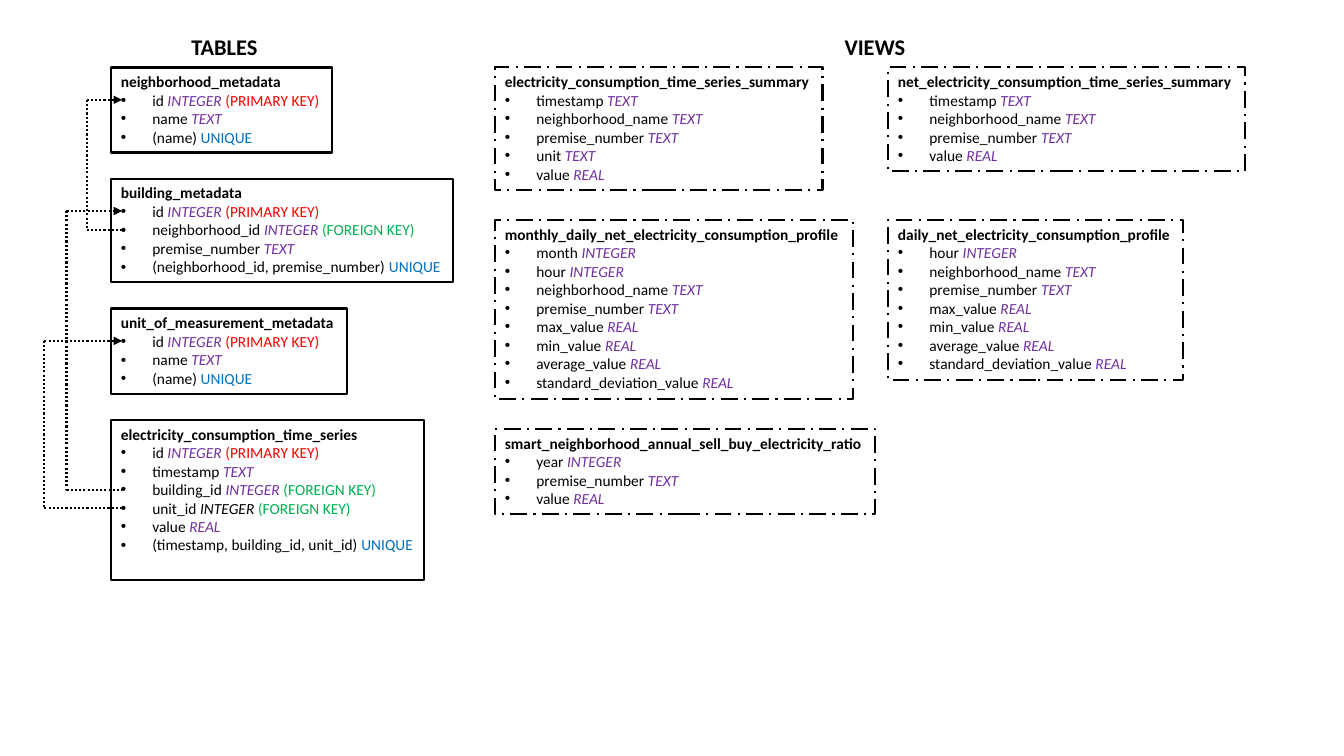
from collections import namedtuple

from lxml.etree import SubElement
from pptx import Presentation
from pptx.dml.color import RGBColor
from pptx.enum.dml import MSO_LINE
from pptx.enum.shapes import MSO_CONNECTOR, MSO_SHAPE
from pptx.enum.text import MSO_ANCHOR, MSO_AUTO_SIZE, PP_ALIGN
from pptx.oxml.ns import qn
from pptx.util import Pt

BLACK, PURPLE = "000000", "7030A0"
KEY_COLORS = {"(PRIMARY KEY)": "FF0000", "(FOREIGN KEY)": "00B050", "UNIQUE": "0070C0"}
PRIMARY, FOREIGN, UNIQUE = KEY_COLORS
LINE_HEIGHT, INSET, INDENT = 13.4, 3.6, 22.5
TOP = 48.2

Column = namedtuple("Column", "name type key type_color", defaults=("", "", PURPLE))
Entity = namedtuple("Entity", "name width columns spare_lines", defaults=(0,))


def typed(type_name, *names):
    return [Column(name, type_name) for name in names]


ID = Column("id", "INTEGER", PRIMARY)
NAMED = [ID, Column("name", "TEXT"), Column("(name)", key=UNIQUE)]
PLACE = typed("TEXT", "neighborhood_name", "premise_number")
READING = typed("TEXT", "timestamp") + PLACE
VALUE = typed("REAL", "value")
HOUR = typed("INTEGER", "hour")
STATISTICS = typed("REAL", "max_value", "min_value", "average_value", "standard_deviation_value")

TABLES = [
    Entity("neighborhood_metadata", 157.7, NAMED),
    Entity("building_metadata", 244.4, [
        ID,
        Column("neighborhood_id", "INTEGER", FOREIGN),
        Column("premise_number", "TEXT"),
        Column("(neighborhood_id, premise_number)", key=UNIQUE),
    ]),
    Entity("unit_of_measurement_metadata", 168.5, NAMED),
    Entity("electricity_consumption_time_series", 224, [
        ID,
        Column("timestamp", "TEXT"),
        Column("building_id", "INTEGER", FOREIGN),
        Column("unit_id", "INTEGER", FOREIGN, BLACK),
        *VALUE,
        Column("(timestamp, building_id, unit_id)", key=UNIQUE),
    ], spare_lines=1),
]

VIEW_ROWS = [
    [Entity("electricity_consumption_time_series_summary", 234,
            READING + typed("TEXT", "unit") + VALUE),
     Entity("net_electricity_consumption_time_series_summary", 254.9, READING + VALUE)],
    [Entity("monthly_daily_net_electricity_consumption_profile", 255.6,
            typed("INTEGER", "month") + HOUR + PLACE + STATISTICS),
     Entity("daily_net_electricity_consumption_profile", 211, HOUR + PLACE + STATISTICS)],
    [Entity("smart_neighborhood_annual_sell_buy_electricity_ratio", 271.4,
            typed("INTEGER", "year") + typed("TEXT", "premise_number") + VALUE)],
]

RELATIONS = [
    ("neighborhood_metadata", "building_metadata", "neighborhood_id", 61.9),
    ("building_metadata", "electricity_consumption_time_series", "building_id", 47.5),
    ("unit_of_measurement_metadata", "electricity_consumption_time_series", "unit_id", 31.7),
]


def color(hex_string):
    return RGBColor.from_string(hex_string)


def set_attributes(target, values):
    for name, value in values.items():
        setattr(target, name, value)


def add_run(paragraph, text, hex_color=BLACK, **formats):
    run = paragraph.add_run()
    run.text = text
    set_attributes(run.font, {"name": "Calibri", "size": Pt(11), **formats})
    run.font.color.rgb = color(hex_color)


def add_bullet(paragraph):
    properties = paragraph._p.get_or_add_pPr()
    properties.set("marL", str(Pt(INDENT)))
    properties.set("indent", str(-Pt(INDENT)))
    SubElement(properties, qn("a:buFont")).set("typeface", "Arial")
    SubElement(properties, qn("a:buChar")).set("char", "•")


def add_column(paragraph, column):
    add_bullet(paragraph)
    add_run(paragraph, column.name + " ", bold=False)
    if column.type:
        gap = " " if column.key else ""
        add_run(paragraph, column.type + gap, column.type_color, italic=True)
    if column.key:
        add_run(paragraph, column.key, KEY_COLORS[column.key])


def entity_height(entity):
    return 2 * INSET + LINE_HEIGHT * (1 + len(entity.columns) + entity.spare_lines)


def add_entity(slide, entity, left, top, dash):
    shape = slide.shapes.add_shape(
        MSO_SHAPE.RECTANGLE, Pt(left), Pt(top), Pt(entity.width), Pt(entity_height(entity)))
    shape.shadow.inherit = False
    shape.fill.background()
    set_attributes(shape.line, {"width": Pt(1.5), "dash_style": dash})
    shape.line.color.rgb = color(BLACK)
    frame = shape.text_frame
    set_attributes(frame, {"word_wrap": False, "auto_size": MSO_AUTO_SIZE.NONE,
                           "vertical_anchor": MSO_ANCHOR.TOP})
    add_run(frame.paragraphs[0], entity.name, bold=True)
    for column in entity.columns:
        add_column(frame.add_paragraph(), column)
    for paragraph in frame.paragraphs:
        paragraph.alignment = PP_ALIGN.LEFT


def add_heading(slide, text, left, width):
    box = slide.shapes.add_textbox(Pt(left), Pt(20.2), Pt(width), Pt(26.6))
    box.text_frame.word_wrap = False
    add_run(box.text_frame.paragraphs[0], text, size=Pt(16), bold=True)


def add_dotted_line(slide, start, end, arrow=False):
    connector = slide.shapes.add_connector(
        MSO_CONNECTOR.STRAIGHT, *(Pt(value) for value in (*start, *end)))
    set_attributes(connector.line, {"width": Pt(1.5), "dash_style": MSO_LINE.ROUND_DOT})
    connector.line.color.rgb = color(BLACK)
    if arrow:
        SubElement(connector.line._get_or_add_ln(), qn("a:tailEnd")).set("type", "triangle")
    SubElement(connector._element.spPr, qn("a:effectLst"))


def add_relation(slide, lane, key_end, primary_y, foreign_y):
    add_dotted_line(slide, (lane, primary_y), (key_end, primary_y), arrow=True)
    add_dotted_line(slide, (lane, primary_y), (lane, foreign_y))
    add_dotted_line(slide, (lane, foreign_y), (key_end, foreign_y))


def add_tables(slide, left, top, gap):
    key_y = {}
    for table in TABLES:
        add_entity(slide, table, left, top, MSO_LINE.SOLID)
        for number, column in enumerate(table.columns, 1):
            key_y[table.name, column.name] = top + 3 + LINE_HEIGHT * (number + 0.5)
        top += entity_height(table) + gap
    for parent, child, foreign_key, lane in RELATIONS:
        add_relation(slide, lane, left + 8, key_y[parent, "id"], key_y[child, foreign_key])


def add_views(slide, left, top, column_pitch, gap):
    for row in VIEW_ROWS:
        for position, view in enumerate(row):
            add_entity(slide, view, left + position * column_pitch, top,
                       MSO_LINE.LONG_DASH_DOT)
        top += max(map(entity_height, row)) + gap


def main():
    presentation = Presentation()
    set_attributes(presentation, {"slide_width": Pt(960), "slide_height": Pt(540)})
    slide = presentation.slides.add_slide(presentation.slide_layouts[6])
    add_tables(slide, 79.2, TOP, 18.6)
    add_views(slide, 353.5, TOP, 280.8, 21.3)
    add_heading(slide, "TABLES", 129.6, 62.6)
    add_heading(slide, "VIEWS", 596.2, 58.3)
    presentation.save("out.pptx")


if __name__ == "__main__":
    main()
